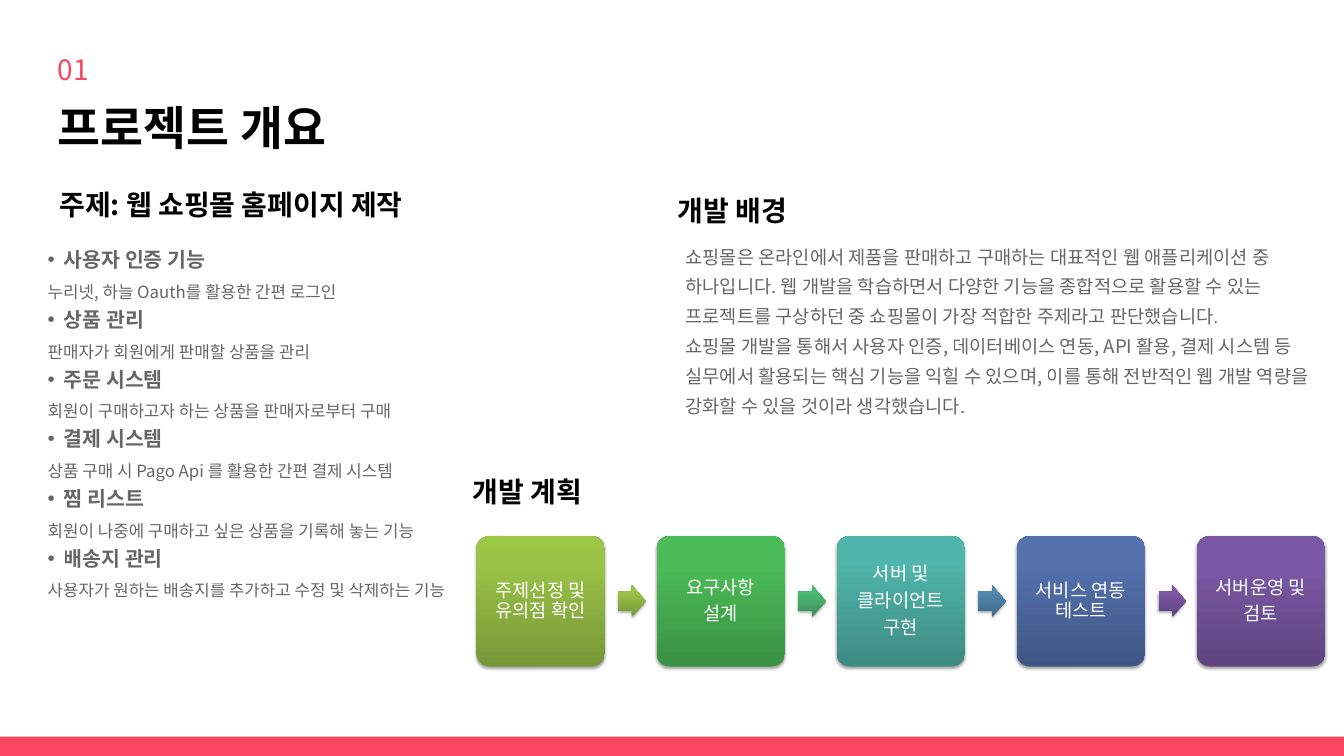
import pptx
import pptx.util
import pptx.dml.color
import pptx.enum.shapes
import pptx.enum.text
import pptx.oxml
import pptx.oxml.ns
from lxml import etree

Pt = pptx.util.Pt
RGB = pptx.dml.color.RGBColor
SHAPE = pptx.enum.shapes.MSO_SHAPE
ALIGN = pptx.enum.text.PP_ALIGN
qn = pptx.oxml.ns.qn

WIDTH = pptx.util.Inches(20)
HEIGHT = pptx.util.Inches(11.25)
SANS = "Noto Sans CJK SC"
CARD_FONT = "Calibri"

PINK = RGB(0xFC, 0x45, 0x61)
BLACK = RGB(0, 0, 0)
WHITE = RGB(0xFF, 0xFF, 0xFF)
LIME = (RGB(0x77, 0x97, 0x37), RGB(0x9B, 0xC3, 0x48), RGB(0x9D, 0xC7, 0x46))
GREEN = (RGB(0x3A, 0x91, 0x44), RGB(0x4C, 0xBC, 0x58), RGB(0x4A, 0xBF, 0x57))
JADE = (RGB(0x3B, 0x8F, 0x5A), RGB(0x4D, 0xBA, 0x75), RGB(0x4B, 0xBD, 0x75))
TEAL = (RGB(0x3D, 0x8B, 0x83), RGB(0x50, 0xB5, 0xAA), RGB(0x4E, 0xB8, 0xAC))
STEEL = (RGB(0x3F, 0x6A, 0x88), RGB(0x52, 0x8A, 0xB0), RGB(0x51, 0x8B, 0xB3))
BLUE = (RGB(0x40, 0x57, 0x86), RGB(0x54, 0x71, 0xAE), RGB(0x52, 0x71, 0xB0))
PURPLE = (RGB(0x5F, 0x44, 0x80), RGB(0x7B, 0x58, 0xA6), RGB(0x7C, 0x57, 0xA8))

FEATURES = [
    ("사용자 인증 기능", "누리넷, 하늘 Oauth를 활용한 간편 로그인"),
    ("상품 관리", "판매자가 회원에게 판매할 상품을 관리"),
    ("주문 시스템", "회원이 구매하고자 하는 상품을 판매자로부터 구매"),
    ("결제 시스템", "상품 구매 시 Pago Api 를 활용한 간편 결제 시스템"),
    ("찜 리스트", "회원이 나중에 구매하고 싶은 상품을 기록해 놓는 기능"),
    ("배송지 관리", "사용자가 원하는 배송지를 추가하고 수정 및 삭제하는 기능"),
]
BACKGROUND = [
    "쇼핑몰은 온라인에서 제품을 판매하고 구매하는 대표적인 웹 애플리케이션 중 하나입니다. "
    "웹 개발을 학습하면서 다양한 기능을 종합적으로 활용할 수 있는 프로젝트를 구상하던 중 "
    "쇼핑몰이 가장 적합한 주제라고 판단했습니다.",
    "쇼핑몰 개발을 통해서 사용자 인증, 데이터베이스 연동, API 활용, 결제 시스템 등 "
    "실무에서 활용되는 핵심 기능을 익힐 수 있으며, 이를 통해 전반적인 웹 개발 역량을 "
    "강화할 수 있을 것이라 생각했습니다.",
]
STEPS = [
    ("주제선정 및 유의점 확인", LIME, LIME),
    ("요구사항\n설계", GREEN, JADE),
    ("서버 및\n클라이언트\n구현", TEAL, STEEL),
    ("서비스 연동 테스트", BLUE, PURPLE),
    ("서버운영 및\n검토", PURPLE, None),
]


def share(x, y, w, h):
    return [int(WIDTH * x / 100), int(HEIGHT * y / 100),
            int(WIDTH * w / 100), int(HEIGHT * h / 100)]


def format_run(r, size, color, bold=False, font=SANS, alpha=None):
    r.font.size = Pt(size)
    r.font.bold = bold
    r.font.name = font
    r.font.color.rgb = color
    rPr = r._r.get_or_add_rPr()
    rPr.find(qn("a:latin")).addnext(
        rPr.makeelement(qn("a:ea"), {"typeface": font}))
    if alpha:
        clr = rPr.find(qn("a:solidFill"))[0]
        etree.SubElement(clr, qn("a:alpha"), val=str(alpha * 1000))


def add_box(s, area):
    tf = s.shapes.add_textbox(*share(*area)).text_frame
    tf.word_wrap = True
    tf.margin_left = tf.margin_right = tf.margin_top = tf.margin_bottom = 0
    return tf


def add_heading(s, text, area, size, spacing, color=BLACK, bold=True, align=ALIGN.LEFT):
    tf = add_box(s, area)
    tf.text = text
    p = tf.paragraphs[0]
    p.alignment = align
    p.line_spacing = Pt(spacing)
    format_run(p.runs[0], size, color, bold)


def add_body(s, area, lines):
    tf = add_box(s, area)
    tf.text = "\n".join(text for text, size, is_bullet in lines)
    for p, (text, size, is_bullet) in zip(tf.paragraphs, lines):
        p.line_spacing = Pt(32)
        pPr = p._p.get_or_add_pPr()
        indent = pptx.util.Inches(0.24)
        pPr.set("marL", str(indent * (2 if is_bullet else 1)))
        pPr.set("indent", str(-indent if is_bullet else 0))
        if is_bullet:
            etree.SubElement(pPr, qn("a:buFont"), typeface="Arial")
            etree.SubElement(pPr, qn("a:buChar"), char="•")
        format_run(p.runs[0], size, BLACK, is_bullet, alpha=60)


def add_glossy(s, kind, area, colors):
    sp = s.shapes.add_shape(kind, *share(*area))
    sp.fill.gradient()
    sp.line.fill.background()
    sp.shadow.inherit = False
    spPr = sp._element.spPr
    grad = spPr.find(qn("a:gradFill"))
    stops = grad.find(qn("a:gsLst"))
    for gs in list(stops):
        stops.remove(gs)
    for pos, color in zip((0, 80, 100), colors):
        gs = etree.SubElement(stops, qn("a:gs"), pos=str(pos * 1000))
        etree.SubElement(gs, qn("a:srgbClr"), val=str(color))
    grad.find(qn("a:lin")).set("ang", str(270 * 60000))
    shadow = etree.SubElement(
        spPr.find(qn("a:effectLst")), qn("a:outerShdw"), blurRad=str(Pt(3.1)),
        dist=str(Pt(1.8)), dir=str(90 * 60000), rotWithShape="0")
    clr = etree.SubElement(shadow, qn("a:srgbClr"), val=str(BLACK))
    etree.SubElement(clr, qn("a:alpha"), val="35000")
    return sp


def add_card(s, area, text, colors):
    sp = add_glossy(s, SHAPE.ROUNDED_RECTANGLE, area, colors)
    sp.adjustments[0] = 0.1
    tf = sp.text_frame
    tf.word_wrap = True
    tf.vertical_anchor = pptx.enum.text.MSO_ANCHOR.MIDDLE
    tf.margin_left = tf.margin_right = pptx.util.Inches(0.08)
    tf.margin_top = tf.margin_bottom = pptx.util.Inches(0.08)
    tf.text = text
    for p in tf.paragraphs:
        p.alignment = ALIGN.CENTER
        p.line_spacing = 0.9
        p.space_after = Pt(7)
        format_run(p.runs[0], 20, WHITE, font=CARD_FONT)


def add_process(s, left, top, pitch):
    for i, (text, colors, arrow_colors) in enumerate(STEPS):
        x = left + i * pitch
        add_card(s, (x, top, 9.55, 17.24), text, colors)
        if arrow_colors:
            arrow = add_glossy(s, SHAPE.RIGHT_ARROW,
                               (x + 10.55, top + 6.5, 2.05, 4.18), arrow_colors)
            arrow.adjustments[0] = 0.6


def add_footer_bar(s):
    sp = s.shapes.add_shape(SHAPE.RECTANGLE, *share(0, 97.42, 100, 2.58))
    sp.shadow.inherit = False
    sp.fill.solid()
    sp.fill.fore_color.rgb = PINK
    sp.line.fill.background()


def main():
    prs = pptx.Presentation()
    prs.slide_width, prs.slide_height = WIDTH, HEIGHT
    s = prs.slides.add_slide(prs.slide_layouts[6])
    add_footer_bar(s)
    add_heading(s, "프로젝트 개요", (4.3, 11.82, 20.15, 8.36), 50, 70)
    add_heading(s, "01", (4.3, 6.22, 5.25, 4.89), 30, 42, PINK, False)
    for text, area in [
        ("주제: 웹 쇼핑몰 홈페이지 제작", (2.35, 24.98, 29.7, 4.36)),
        ("개발 배경", (49.5, 25.69, 10, 4.36)),
        ("개발 계획", (34.25, 62.84, 10, 4.36)),
    ]:
        add_heading(s, text, area, 30, 35, align=ALIGN.CENTER)
    features = [line for name, detail in FEATURES
                for line in ((name, 22, True), (detail, 18, False))]
    add_body(s, (2.35, 32, 33.1, 47.47), features)
    add_body(s, (49.8, 31.47, 48.85, 23.56),
             [(text, 20, False) for text in BACKGROUND])
    add_process(s, 35.45, 70.93, 13.4)
    prs.save("out.pptx")


if __name__ == "__main__":
    main()
